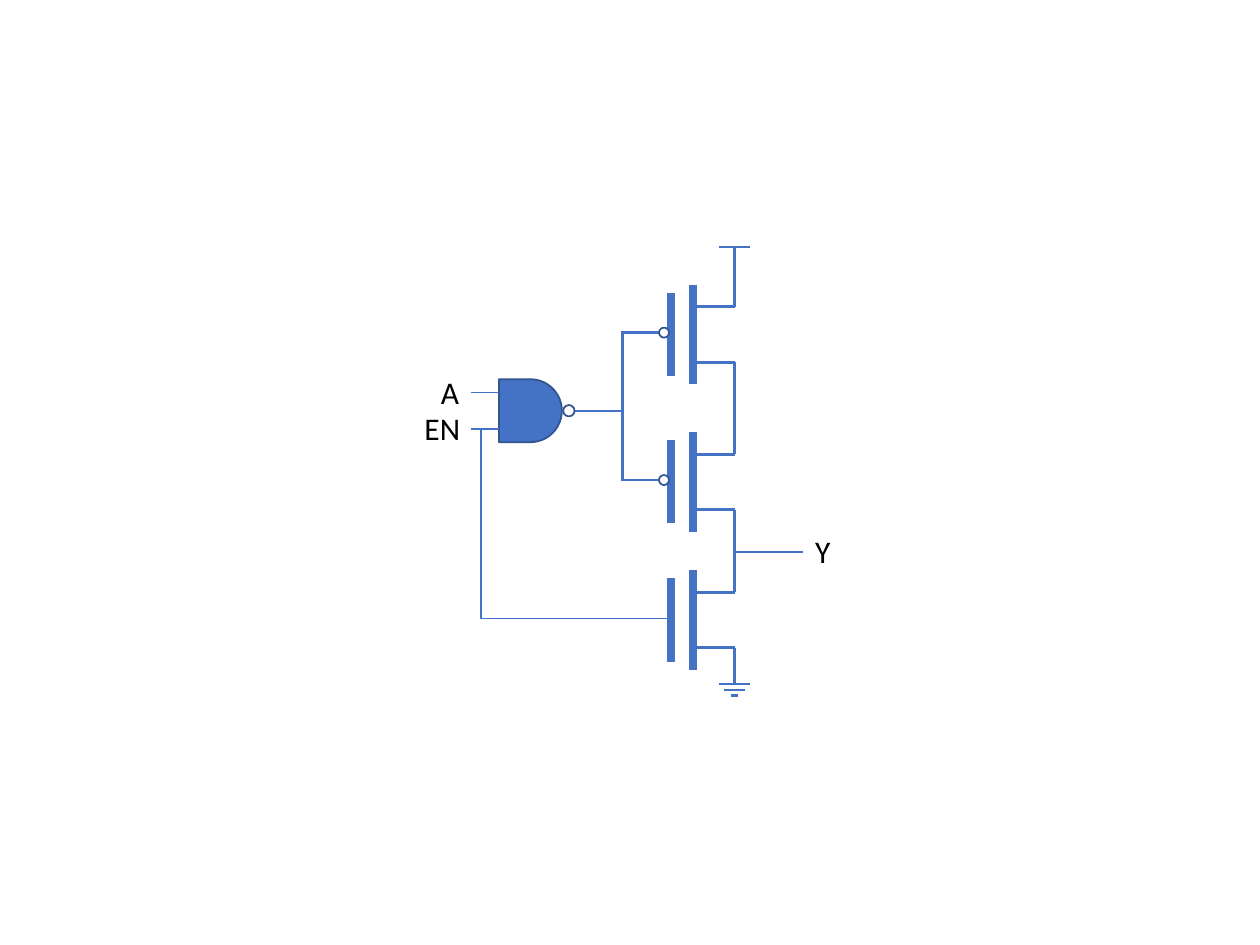
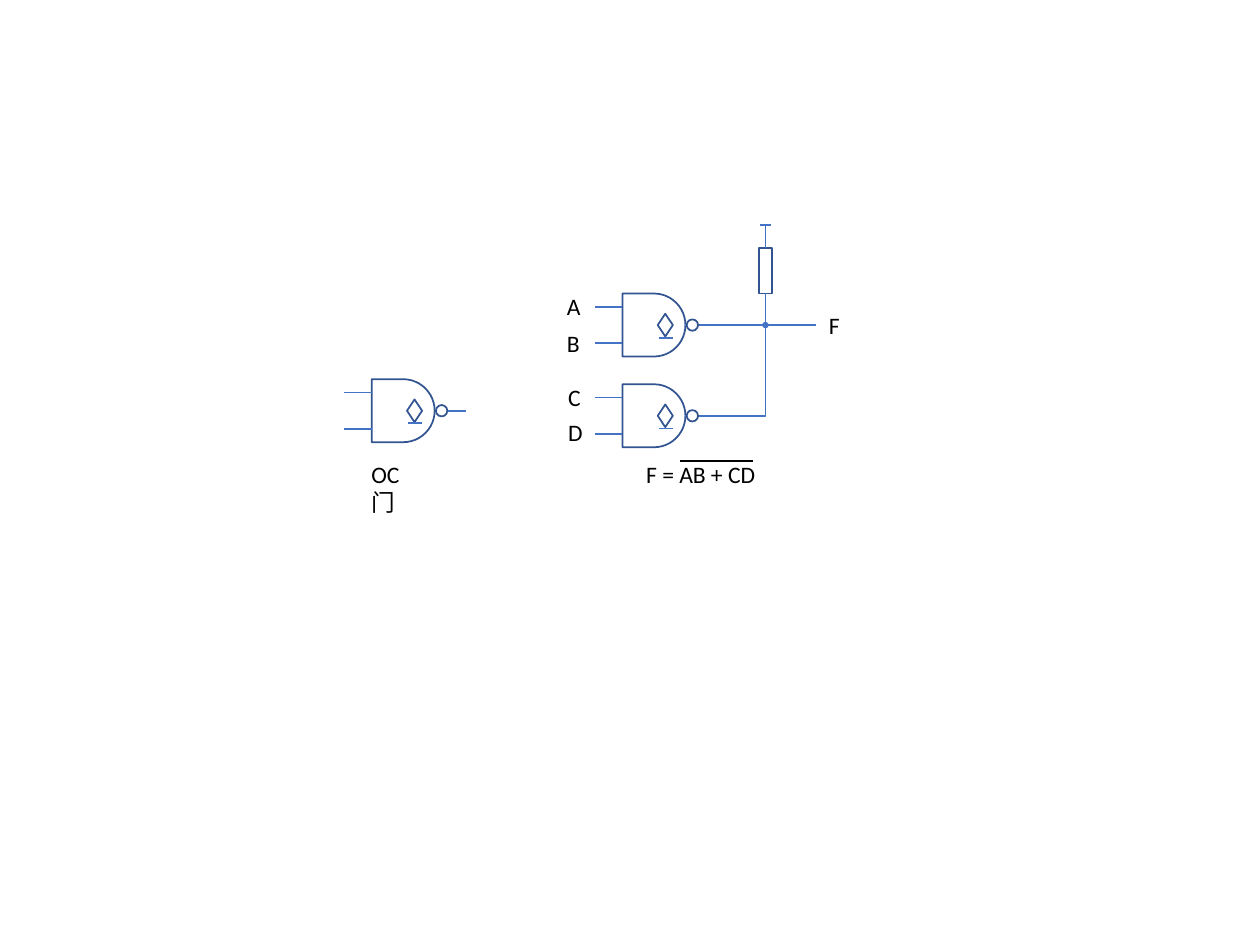
from dataclasses import dataclass

from lxml import etree
from pptx import Presentation
from pptx.dml.color import RGBColor
from pptx.enum.shapes import MSO_CONNECTOR as CONN, MSO_SHAPE as SHAPE
from pptx.enum.text import MSO_AUTO_SIZE as AUTO
from pptx.oxml.ns import qn
from pptx.util import Inches, Pt

# Shared grid (100 columns by 75 rows), colours and line widths
COLS, ROWS = 100, 75
COLORS = {"wire": "4472C4", "edge": "325491", "paper": "FFFFFF", "ink": "000000"}
THIN, MEDIUM, THICK = 1, 1.5, 4.5
FONT = "Calibri"

prs = Presentation()
prs.slide_width, prs.slide_height = Inches(10), Inches(7.5)


@dataclass
class Gate:
    """A two-input NAND gate; x and y give its top left corner."""
    x: float
    y: float
    fill: str | None = None
    out: float = 7.5
    open_collector: bool = True


@dataclass
class Transistor:
    """A MOS transistor; x is its gate plate, y its middle."""
    x: float
    y: float
    p_type: bool = True


@dataclass
class Label:
    text: str
    x: float
    y: float
    w: float
    h: float = 3.3
    size: float = 13.5
    wrap: bool = False


def gx(col: float) -> int:
    return round(prs.slide_width * col / COLS)


def gy(row: float) -> int:
    return round(prs.slide_height * row / ROWS)


def rgb(name: str) -> RGBColor:
    return RGBColor.from_string(COLORS[name])


# Basic parts
def wire(s, x1: float, y1: float, x2: float, y2: float, width: float = THIN,
         color: str = "wire", elbow: bool = False) -> None:
    """Straight wire, or one that runs across first and then turns once."""
    kind = CONN.ELBOW if elbow else CONN.STRAIGHT
    c = s.shapes.add_connector(kind, gx(x1), gy(y1), gx(x2), gy(y2))
    c.line.color.rgb, c.line.width = rgb(color), Pt(width)
    sp_pr = c._element.spPr
    if elbow:
        sp_pr.find(qn("a:prstGeom")).set("prst", "bentConnector2")
    etree.SubElement(sp_pr, qn("a:effectLst"))


def shape(s, kind: SHAPE, x: float, y: float, w: float, h: float,
          fill: str | None = None, edge: str | None = "edge") -> None:
    sp = s.shapes.add_shape(kind, gx(x), gy(y), gx(w), gy(h))
    sp.shadow.inherit = False
    if fill:
        sp.fill.solid()
        sp.fill.fore_color.rgb = rgb(fill)
    else:
        sp.fill.background()
    if edge:
        sp.line.color.rgb, sp.line.width = rgb(edge), Pt(THIN)
    else:
        sp.line.fill.background()


def label(s, item: Label) -> None:
    box = s.shapes.add_textbox(gx(item.x), gy(item.y), gx(item.w), gy(item.h))
    tf = box.text_frame
    tf.word_wrap, tf.auto_size = item.wrap, AUTO.SHAPE_TO_FIT_TEXT
    p = tf.paragraphs[0]
    r = p.add_run()
    r.text = item.text
    r.font.name, r.font.size = FONT, Pt(item.size)
    r.font.color.rgb = rgb("ink")


# Circuit symbols
def gate(s, g: Gate) -> None:
    shape(s, SHAPE.FLOWCHART_DELAY, g.x, g.y, 5, 5, g.fill)
    for dy in (1.05, 3.95):
        wire(s, g.x, g.y + dy, g.x - 2.2, g.y + dy)
    wire(s, g.x + g.out, g.y + 2.5, g.x + 5, g.y + 2.5)
    shape(s, SHAPE.OVAL, g.x + 5.1, g.y + 2.05, 0.9, 0.9, "paper")
    if g.open_collector:
        shape(s, SHAPE.DIAMOND, g.x + 2.8, g.y + 1.6, 1.2, 1.8)
        wire(s, g.x + 2.9, g.y + 3.5, g.x + 4, g.y + 3.5)


def transistor(s, t: Transistor) -> None:
    channel, rail = t.x + 1.75, t.x + 5.05
    wire(s, t.x, t.y - 3.3, t.x, t.y + 3.3, THICK)
    wire(s, channel, t.y - 3.95, channel, t.y + 3.95, THICK)
    for dy in (-TAP, TAP):
        wire(s, channel, t.y + dy, rail, t.y + dy, MEDIUM)
    if t.p_type:
        wire(s, t.x - 3.95, t.y - 0.15, t.x - 0.95, t.y - 0.15, MEDIUM)
        shape(s, SHAPE.OVAL, t.x - 0.95, t.y - 0.55, 0.8, 0.8, "paper")


def bar(s, x: float, y: float, half: float, width: float = MEDIUM) -> None:
    wire(s, x - half, y, x + half, y, width)


# Slide 1: tri-state output stage
TAP = 2.2
s = prs.slides.add_slide(prs.slide_layouts[6])
upper, middle, lower = stack = (
    Transistor(53.25, 26.55), Transistor(53.25, 38.25),
    Transistor(53.25, 49.2, p_type=False))
for t in stack:
    transistor(s, t)

# Supply rail, from the top bar down to ground
RAIL, SUPPLY, GROUND = 58.3, 19.6, 54.3
for y1, y2 in ((SUPPLY, upper.y - TAP), (upper.y + TAP, middle.y - TAP),
               (middle.y + TAP, lower.y - TAP), (lower.y + TAP, GROUND)):
    wire(s, RAIL, y1, RAIL, y2, MEDIUM)
bar(s, RAIL, SUPPLY, 1.25)
for i, half in enumerate((1.25, 0.85, 0.3)):
    bar(s, RAIL, GROUND + 0.45 * i, half)

# Input gate, output and feed of the lower transistor
wire(s, 49.4, upper.y - 0.15, 49.4, middle.y - 0.15, MEDIUM)
wire(s, RAIL, 43.8, 63.7, 43.8, MEDIUM)
gate(s, Gate(39.6, 30.1, "wire", out=9.8, open_collector=False))
wire(s, 53, 49.1, 38.2, 34.1, elbow=True)
for item in (Label("EN", 32.7, 32, 4.9, 4, 18), Label("A", 34, 29.1, 3.5, 4, 18),
             Label("Y", 63.7, 41.7, 3.2, 4, 18)):
    label(s, item)

# Slide 2: open-collector gate and wired AND
s = prs.slides.add_slide(prs.slide_layouts[6])
single, first, second = (
    Gate(29.5, 30.1), Gate(49.4, 23.3, out=15.4), Gate(49.4, 30.5))
for g in (single, first, second):
    gate(s, g)

# Pull-up resistor and joined outputs
PULL = 60.75
shape(s, SHAPE.RECTANGLE, PULL - 0.5, 19.7, 1, 3.6)
wire(s, PULL, 19.7, PULL, 17.8)
bar(s, PULL, 17.85, 0.45, THIN)
wire(s, second.x + second.out, second.y + 2.5, PULL, 23.3, elbow=True)
shape(s, SHAPE.OVAL, PULL - 0.25, first.y + 2.25, 0.5, 0.5, "wire", edge=None)

# Labels and formula with its overline
for item in (
        Label("A", 44, 22.7, 3.1), Label("B", 44, 25.6, 3.1),
        Label("C", 44.1, 29.9, 3.1), Label("D", 44.1, 32.7, 3.2),
        Label("F", 64.8, 24.2, 2.9), Label("F = AB + CD", 50.3, 36, 10.8),
        Label("OC门", 28.5, 36, 5.6, wrap=True)):
    label(s, item)
wire(s, 54, 36.6, 59.8, 36.6, color="ink")

prs.save("out.pptx")
